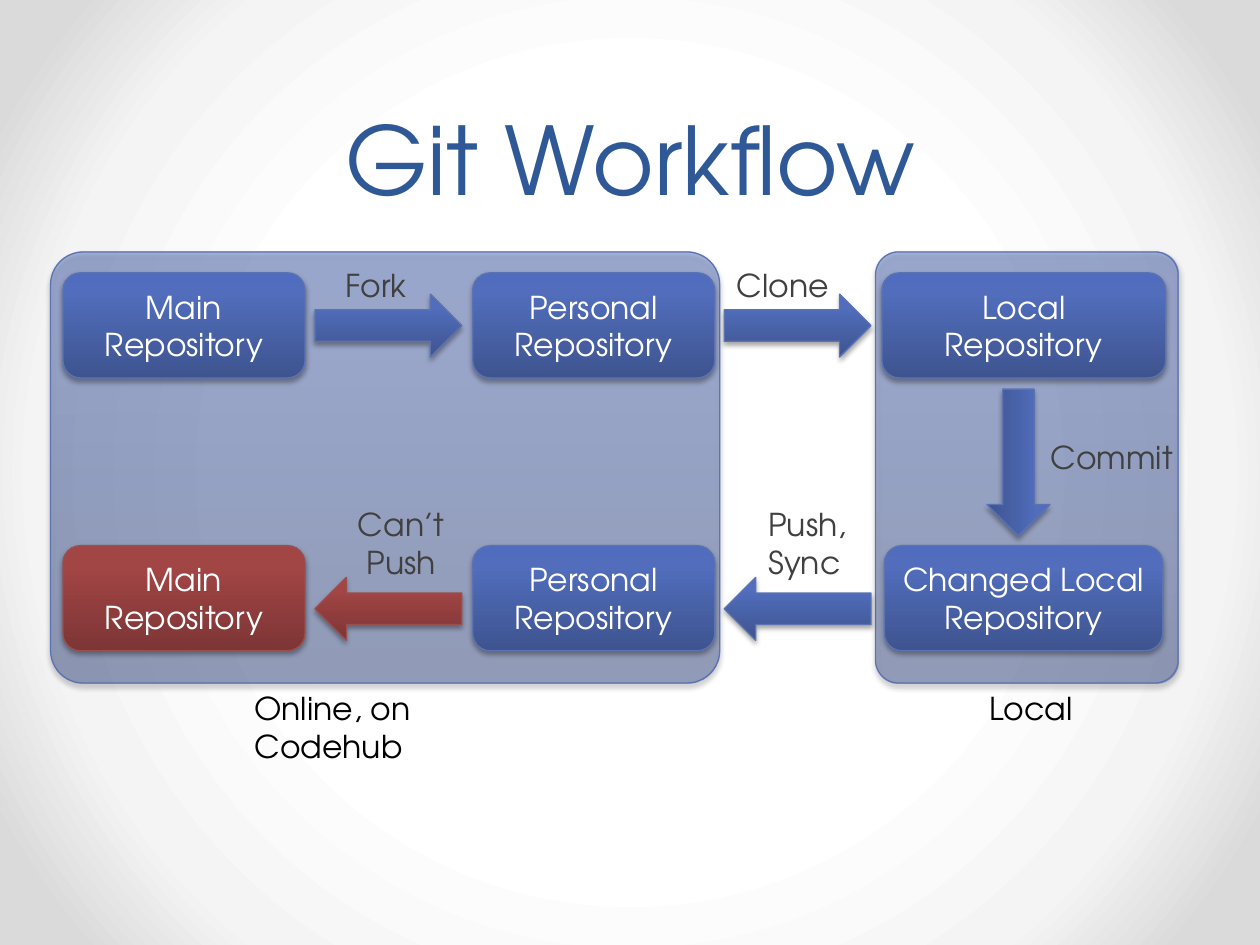
from lxml import etree
from pptx import Presentation
from pptx.dml.color import RGBColor
from pptx.enum.shapes import MSO_SHAPE
from pptx.enum.text import MSO_ANCHOR, MSO_AUTO_SIZE, PP_ALIGN
from pptx.oxml.ns import qn
from pptx.util import Cm, Pt

ROUND = MSO_SHAPE.ROUNDED_RECTANGLE
RIGHT = MSO_SHAPE.RIGHT_ARROW
LEFT = MSO_SHAPE.LEFT_ARROW
CENTER = PP_ALIGN.CENTER
START = PP_ALIGN.LEFT
MIDDLE = MSO_ANCHOR.MIDDLE
BOTTOM = MSO_ANCHOR.BOTTOM
FIT = MSO_AUTO_SIZE.SHAPE_TO_FIT_TEXT

FONT = "TeX Gyre Adventor"
COLORS = {"title": "2F5897", "node": "FFFFFF", "label": "404040",
          "note": "000000", "blue": "5C72B2", "red": "9A4E4E"}
FADES = {
    "blue": [(0, "3E5490"), (80, "516DBB"), (100, "4F6CBE")],
    "red": [(0, "7D3535"), (80, "A24545"), (100, "A44343")],
    "back": [(50, "FFFFFF"), (76, "F4F4F4"), (92, "DADADA")],
}
TOP, LOW = 0.42, 5.92
TOP_ARROW, LOW_ARROW = 0.85, 6.56
TOP_LABEL, LOW_LABEL = 0.15, 4.98
NODE_W, NODE_H = 4.88, 2.12
ARROW_W, ARROW_H = 2.96, 1.27
ONE, TWO = 1.02, 1.8


def add(parent, tag, **attrs):
    node = etree.SubElement(parent, qn(tag))
    for key, value in attrs.items():
        node.set(key, str(value))
    return node


def fade(root, name, alpha=100):
    grad = next(root.iter(qn("a:gradFill")))
    stops = grad.find(qn("a:gsLst"))
    for stop in list(stops):
        stops.remove(stop)
    for pos, color in FADES[name]:
        stop = add(stops, "a:gs", pos=pos * 1000)
        tint = add(stop, "a:srgbClr", val=color)
        if alpha < 100:
            add(tint, "a:alpha", val=alpha * 1000)
    return grad


def write(frame, text, size, color, align):
    frame.text = text
    for para in frame.paragraphs:
        para.alignment = align
        for run in para.runs:
            run.font.name = FONT
            run.font.size = Pt(size)
            run.font.color.rgb = RGBColor.from_string(COLORS[color])


def place(box, x, y, w, h):
    return Cm(box[0] + x), Cm(box[1] + y), Cm(w), Cm(h)


def block(slide, kind, spot, tone="blue", alpha=100):
    shape = slide.shapes.add_shape(kind, *spot)
    shape.fill.gradient()
    shape.fill.gradient_angle = 90
    props = shape._element.spPr
    fade(props, tone, alpha)
    shape.line.color.rgb = RGBColor.from_string(COLORS[tone])
    shape.line.width = Pt(0.75)
    shape.shadow.inherit = False
    glow = add(props.find(qn("a:effectLst")), "a:outerShdw", blurRad=Pt(3.1),
               dist=Pt(1.8), dir=90 * 60000, rotWithShape=0)
    add(add(glow, "a:srgbClr", val="000000"), "a:alpha", val=35000)
    return shape


def panel(slide, box):
    shape = block(slide, ROUND, place(box, 0, 0, box[2], box[3]), alpha=45)
    shape.adjustments[0] = 0.076


def node(slide, box, x, y, text, tone="blue", w=NODE_W):
    shape = block(slide, ROUND, place(box, x, y, w, NODE_H), tone)
    write(shape.text_frame, text, 18, "node", CENTER)
    shape.text_frame.word_wrap = True
    shape.text_frame.vertical_anchor = MIDDLE


def arrow(slide, box, x, y, kind, tone="blue"):
    return block(slide, kind, place(box, x, y, ARROW_W, ARROW_H), tone)


def label(slide, box, x, y, w, h, text, color="label", align=START):
    shape = slide.shapes.add_textbox(*place(box, x, y, w, h))
    write(shape.text_frame, text, 18, color, align)
    shape.text_frame.word_wrap = False
    shape.text_frame.auto_size = FIT


def heading(slide, box):
    title = slide.shapes.title
    title.left, title.top, title.width, title.height = place(
        box, 0, 0, box[2], box[3])
    write(title.text_frame, "Git Workflow", 54, "title", CENTER)
    title.text_frame.vertical_anchor = BOTTOM
    title.text_frame.paragraphs[0].line_spacing = Pt(58)


def online(slide, box):
    main, own, mid = 0.25, 8.51, 5.33
    panel(slide, box)
    for y, tone in ((TOP, "blue"), (LOW, "red")):
        node(slide, box, main, y, "Main Repository", tone)
        node(slide, box, own, y, "Personal Repository")
    arrow(slide, box, mid, TOP_ARROW, RIGHT)
    arrow(slide, box, mid, LOW_ARROW, LEFT, "red")
    label(slide, box, 5.69, TOP_LABEL, 1.75, ONE, "Fork")
    label(slide, box, 5.91, LOW_LABEL, 2.31, TWO, "Can’t\nPush", align=CENTER)
    label(slide, box, 3.86, box[3], 5.99, ONE, "Online, on Codehub", "note")


def local(slide, box):
    panel(slide, box)
    node(slide, box, 0.13, TOP, "Local\nRepository", w=5.72)
    node(slide, box, 0.18, LOW, "Changed Local\nRepository", w=5.61)
    arrow(slide, box, 1.4, 3.61, RIGHT).rotation = 90
    label(slide, box, 3.28, 3.63, 3, ONE, "Commit")
    label(slide, box, 2.04, box[3], 2.21, ONE, "Local", "note")


def transfer(slide, box):
    arrow(slide, box, 0.09, TOP_ARROW, RIGHT)
    arrow(slide, box, 0.09, LOW_ARROW, LEFT)
    label(slide, box, 0.09, TOP_LABEL, 2.39, ONE, "Clone")
    label(slide, box, 0.73, LOW_LABEL, 2.11, TWO, "Push,\nSync")


def backdrop(slide):
    slide.background.fill.gradient()
    grad = fade(slide._element.cSld, "back")
    grad.remove(grad.find(qn("a:lin")))
    ring = add(grad, "a:path", path="circle")
    add(ring, "a:fillToRect", l=50000, t=50000, r=50000, b=50000)


def main():
    deck = Presentation()
    deck.slide_width, deck.slide_height = Cm(25.4), Cm(19.05)
    slide = deck.slides.add_slide(deck.slide_layouts[5])
    backdrop(slide)
    heading(slide, (1.27, 0, 22.86, 4.45))
    local(slide, (17.65, 5.08, 6.1, 8.69))
    online(slide, (1.02, 5.08, 13.49, 8.69))
    transfer(slide, (14.51, 5.08, 3.14, 8.69))
    deck.save("out.pptx")


if __name__ == "__main__":
    main()
